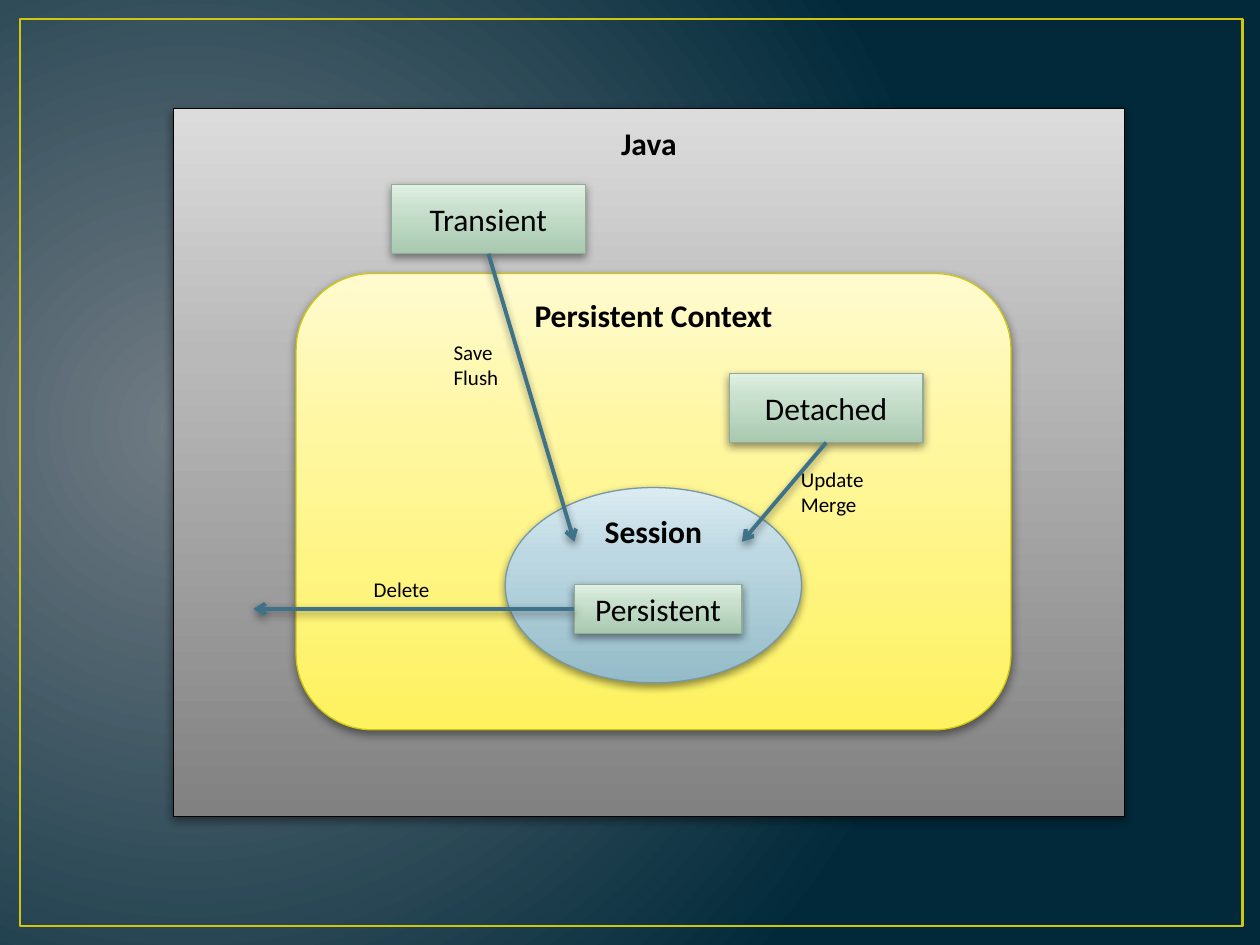
from lxml import etree
from pptx import Presentation
from pptx.dml.color import RGBColor
from pptx.enum.shapes import MSO_CONNECTOR as LINK, MSO_SHAPE as SHAPE
from pptx.enum.text import MSO_ANCHOR as ANCHOR, PP_ALIGN as ALIGN
from pptx.oxml import parse_xml
from pptx.oxml.ns import nsdecls, qn
from pptx.util import Pt

COLORS = {
    "frame": "CFC60D", "text": "000000", "shadow": "000000", "arrow": "3D7289",
    "java_line": "000000", "context_line": "CFC60D",
    "session_line": "759AA5", "state_line": "90AC97",
    "glow": "717C84", "night": "01293A",
    "java_low": "818181", "java_mid": "B9B9B9", "java_high": "DCDCDC",
    "context_low": "FEF25E", "context_mid": "FFF7A2", "context_high": "FFFBCF",
    "session_low": "94BBC8", "session_mid": "BCD8E2", "session_high": "DBEBF1",
    "state_low": "A8C9B0", "state_mid": "C8E0CD", "state_high": "E1F0E4",
}


class Diagram:
    """Hold the style and current page, and draw each kind of element."""

    font = "Calibri"

    def __init__(self, deck):
        self.page = deck.slides.add_slide(deck.slide_layouts[6])

    def color(self, name):
        return RGBColor.from_string(COLORS[name])

    def gradient(self, stops, direction):
        marks = "".join(
            f'<a:gs pos="{place * 1000}"><a:srgbClr val="{COLORS[name]}"/></a:gs>'
            for place, name in stops)
        return parse_xml(f'<a:gradFill {nsdecls("a")} rotWithShape="1">'
                         f'<a:gsLst>{marks}</a:gsLst>{direction}</a:gradFill>')

    def swap_fill(self, parent, gradient):
        parent.replace(parent.find(qn("a:solidFill")), gradient)

    def background(self):
        self.page.background.fill.solid()
        holder = next(self.page.element.iter(qn("p:bgPr")))
        direction = ('<a:path path="circle"><a:fillToRect l="15000" t="50000" '
                     'r="85000" b="60000"/></a:path>')
        self.swap_fill(holder, self.gradient([(0, "glow"), (100, "night")], direction))

    def outline(self, item, name, width):
        item.line.color.rgb = self.color(name)
        item.line.width = Pt(width)

    def shadow(self, item):
        properties = item.element.spPr
        properties.append(parse_xml(
            f'<a:effectLst {nsdecls("a")}><a:outerShdw blurRad="{Pt(5)}" '
            f'dist="{Pt(2)}" dir="5400000" rotWithShape="0">'
            f'<a:srgbClr val="{COLORS["shadow"]}"><a:alpha val="43000"/></a:srgbClr>'
            '</a:outerShdw></a:effectLst>'))

    def add_text(self, box, lines, size, align, bold=False):
        for number, line in enumerate(lines):
            frame = box.text_frame
            para = frame.add_paragraph() if number else frame.paragraphs[0]
            para.alignment = align
            span = para.add_run()
            span.text = line
            span.font.color.rgb = self.color("text")
            format_values = {"name": self.font, "size": Pt(size), "bold": bold}
            for key, value in format_values.items():
                setattr(span.font, key, value)

    def frame(self, *area):
        box = self.page.shapes.add_shape(SHAPE.RECTANGLE, *map(Pt, area))
        box.fill.background()
        box.shadow.inherit = False
        self.outline(box, "frame", 1.5)

    def panel(self, kind, theme, title, area, lift=0):
        box = self.page.shapes.add_shape(kind, *map(Pt, area))
        box.fill.solid()
        stops = [(0, f"{theme}_low"), (65, f"{theme}_mid"), (100, f"{theme}_high")]
        self.swap_fill(box.element.spPr,
                       self.gradient(stops, '<a:lin ang="16200000" scaled="0"/>'))
        self.outline(box, f"{theme}_line", 0.75)
        self.shadow(box)
        format_values = {"word_wrap": True, "vertical_anchor": ANCHOR.MIDDLE,
                         "margin_top": 0, "margin_bottom": Pt(2 * lift)}
        for key, value in format_values.items():
            setattr(box.text_frame, key, value)
        self.add_text(box, [title], 18, ALIGN.CENTER, bold=lift > 0)

    def arrow(self, *ends):
        link = self.page.shapes.add_connector(LINK.STRAIGHT, *map(Pt, ends))
        self.outline(link, "arrow", 2.25)
        stroke = link.element.spPr.find(qn("a:ln"))
        etree.SubElement(stroke, qn("a:tailEnd"), type="arrow")
        self.shadow(link)

    def label(self, lines, *area):
        box = self.page.shapes.add_textbox(*map(Pt, area))
        box.text_frame.word_wrap = True
        self.add_text(box, lines, 12, ALIGN.LEFT)


deck = Presentation()
deck.slide_width, deck.slide_height = Pt(720), Pt(540)
diagram = Diagram(deck)
diagram.background()
diagram.frame(11.5, 10.8, 698.5, 518.4)

diagram.panel(SHAPE.RECTANGLE, "java", "Java", (99, 62, 543.5, 404.6), 182.5)
diagram.panel(SHAPE.ROUNDED_RECTANGLE, "context", "Persistent Context",
              (169.2, 156.3, 408.5, 260.7), 106.5)
diagram.panel(SHAPE.OVAL, "session", "Session", (288.7, 278.6, 169.3, 111.6), 31)

for state, area in {
    "Detached": (416.7, 213.3, 110.7, 39.6),
    "Persistent": (328.2, 334, 95.8, 28),
    "Transient": (223.7, 105.4, 110.7, 39.6),
}.items():
    diagram.panel(SHAPE.RECTANGLE, "state", state, area)

for ends, lines, area in [
    ((472.1, 252.9, 424, 309.6), ["Update", "Merge"], (450.6, 263, 90.7, 36)),
    ((279.1, 145, 328.2, 309.6), ["Save", "Flush"], (252.1, 190.4, 90.7, 36)),
    ((328.2, 348, 144.7, 348), ["Delete"], (206.5, 326, 59.8, 21.6)),
]:
    diagram.arrow(*ends)
    diagram.label(lines, *area)

deck.save("out.pptx")
